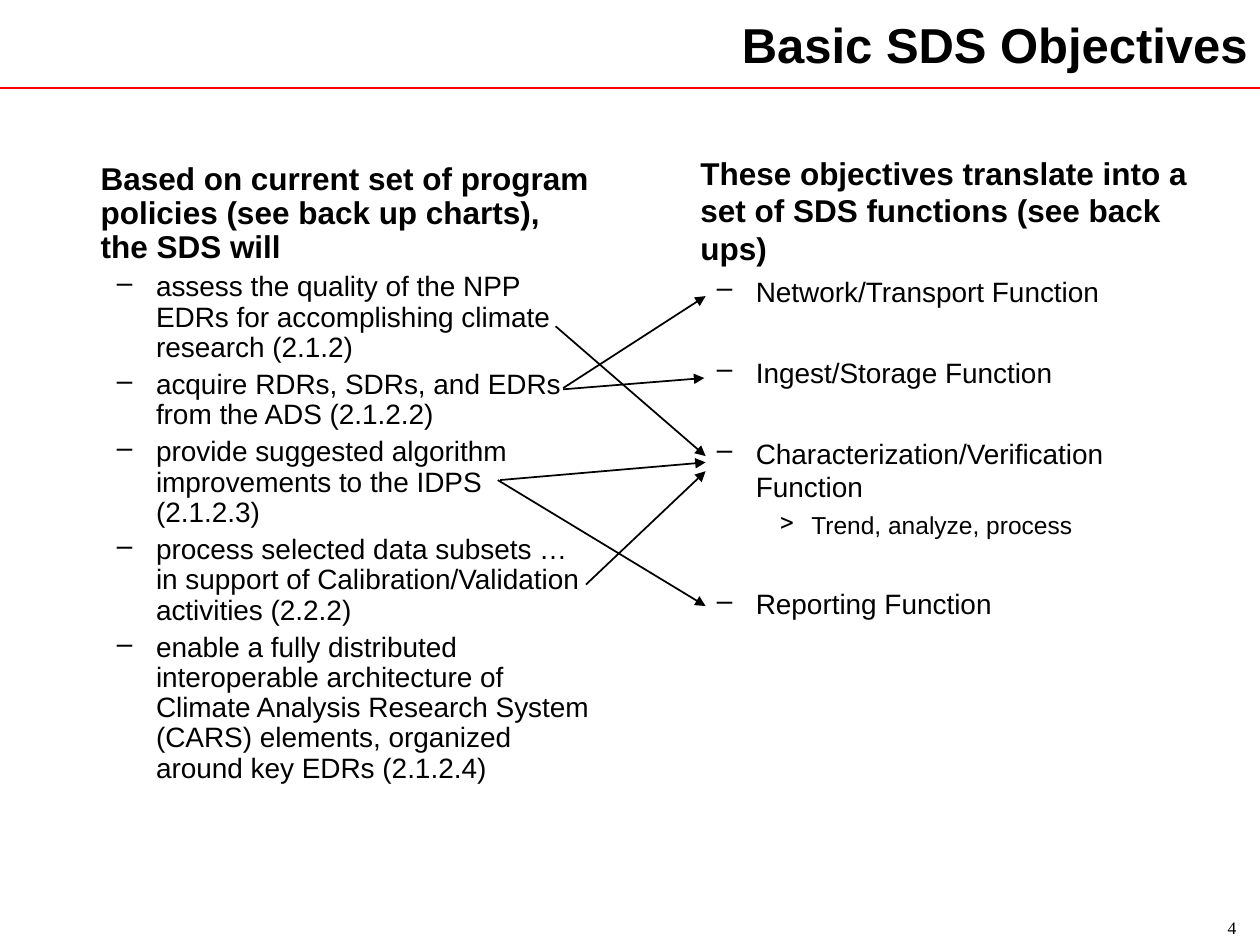
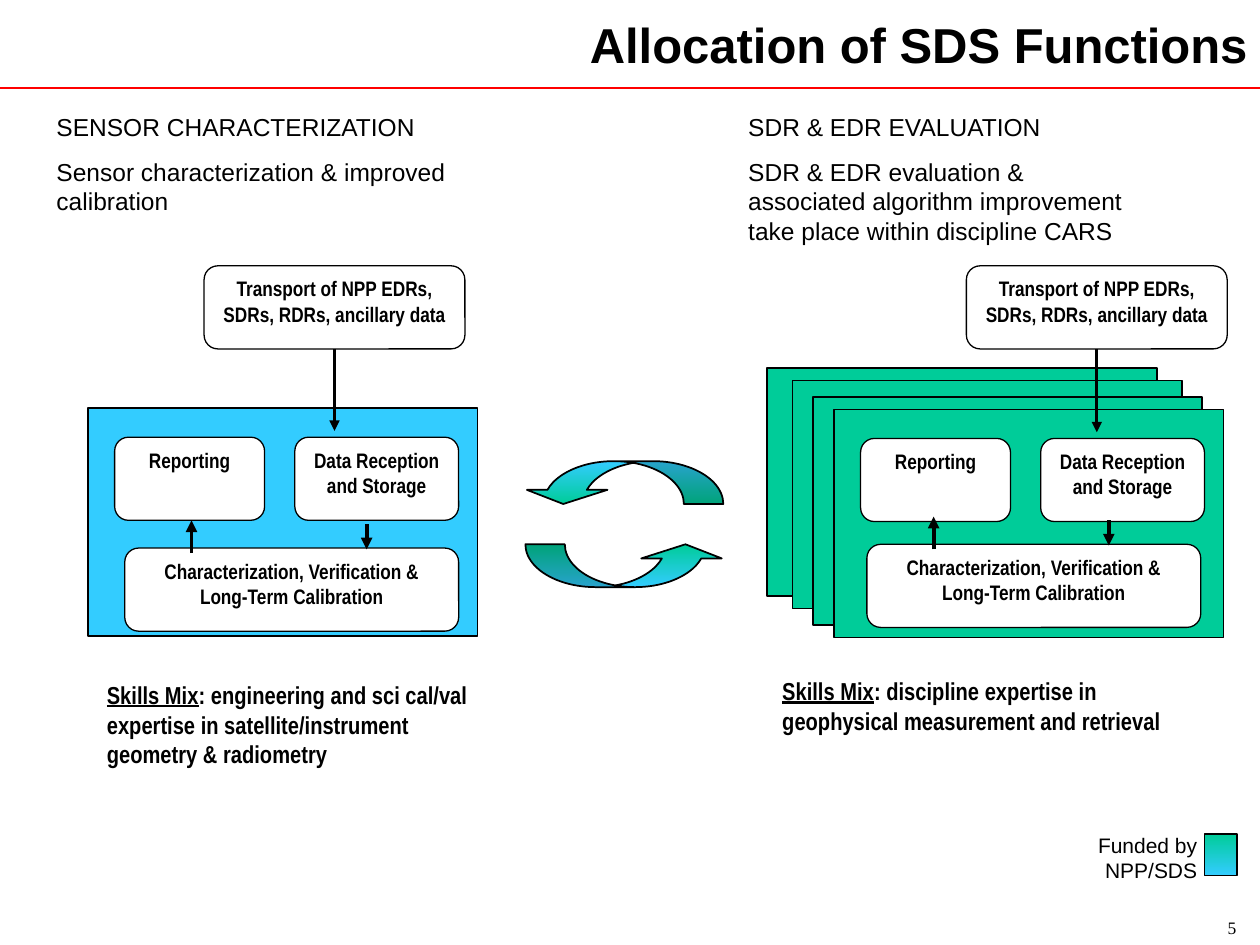
from dataclasses import dataclass

from lxml.etree import SubElement
from pptx import Presentation
from pptx.dml.color import RGBColor
from pptx.enum.shapes import MSO_CONNECTOR, MSO_SHAPE
from pptx.enum.text import MSO_ANCHOR, PP_ALIGN
from pptx.oxml.ns import qn
from pptx.util import Inches, Pt


@dataclass(frozen=True)
class Theme:
    black: str = "000000"
    white: str = "FFFFFF"
    red: str = "FF0000"
    green: str = "00CC99"
    blue: str = "33CCFF"
    sans: str = "Arial"
    narrow: str = "Arial Narrow"
    serif: str = "Times New Roman"
    title: int = 28
    head: int = 18
    item: int = 16
    note: int = 14
    label: int = 12
    page: int = 10


T = Theme()


def color(code):
    return RGBColor.from_string(code)


# Text helpers
def add_run(para, text, size, font=T.sans, bold=False, under=False):
    run = para.add_run()
    run.text = text
    run.font.size = Pt(size)
    run.font.name = font
    run.font.bold = bold
    run.font.underline = under
    run.font.color.rgb = color(T.black)


def add_box(slide, left, top, width, height, anchor=MSO_ANCHOR.TOP):
    frame = slide.shapes.add_textbox(
        Inches(left), Inches(top), Inches(width), Inches(height)).text_frame
    frame.word_wrap = True
    frame.vertical_anchor = anchor
    return frame


def next_para(frame, gap=0, align=PP_ALIGN.LEFT, space=None):
    """Return the empty first paragraph, or a new one set off by gap."""
    para = frame.paragraphs[0]
    if para.runs:
        para = frame.add_paragraph()
        para.space_before = Pt(gap)
    para.alignment = align
    if space:
        para.line_spacing = space
    return para


def indent(para, margin, hang=0, mark=None):
    props = para._p.get_or_add_pPr()
    props.set("marL", str(Inches(margin)))
    props.set("indent", str(-Inches(hang)))
    if mark:
        tint = SubElement(props, qn("a:buClr"))
        SubElement(tint, qn("a:srgbClr")).set("val", T.black)
        SubElement(props, qn("a:buChar")).set("char", mark)


# Shape helpers
def add_line(slide, start, end, weight, tint=T.black, arrow=True):
    line = slide.shapes.add_connector(
        MSO_CONNECTOR.STRAIGHT, *(Inches(n) for n in (*start, *end)))
    line.line.color.rgb = color(tint)
    line.line.width = Pt(weight)
    if arrow:
        SubElement(line.line._get_or_add_ln(), qn("a:tailEnd")).set("type", "triangle")
    SubElement(line._element.spPr, qn("a:effectLst"))
    return line


def add_block(slide, left, top, width, height, fill, kind=MSO_SHAPE.RECTANGLE, weight=1):
    """Shape filled with one colour, or with a pair from top to bottom."""
    shape = slide.shapes.add_shape(
        kind, Inches(left), Inches(top), Inches(width), Inches(height))
    shape.shadow.inherit = False
    if isinstance(fill, str):
        shape.fill.solid()
        shape.fill.fore_color.rgb = color(fill)
    else:
        shape.fill.gradient()
        shape.fill.gradient_angle = 270
        for stop, code in zip(shape.fill.gradient_stops, fill):
            stop.color.rgb = color(code)
    shape.line.color.rgb = color(T.black)
    shape.line.width = Pt(weight)
    return shape


def add_node(slide, left, top, width, text):
    node = add_block(slide, left, top, width, 0.66, T.white,
                     MSO_SHAPE.FLOWCHART_ALTERNATE_PROCESS, 0.75)
    frame = node.text_frame
    frame.word_wrap = True
    frame.vertical_anchor = MSO_ANCHOR.TOP
    add_run(next_para(frame, align=PP_ALIGN.CENTER), text, T.label, T.narrow, bold=True)
    return node


# Frame shared by both slides
def add_page(deck, title, number):
    slide = deck.slides.add_slide(deck.slide_layouts[6])
    add_line(slide, (0, 0.7), (10, 0.7), 1.25, T.red, arrow=False)
    frame = add_box(slide, 2.05, -0.07, 7.95, 0.83, MSO_ANCHOR.MIDDLE)
    add_run(next_para(frame, align=PP_ALIGN.RIGHT), title, T.title, bold=True)
    frame = add_box(slide, 7.83, 7.23, 2.08, 0.43)
    add_run(next_para(frame, align=PP_ALIGN.RIGHT), str(number), T.page, T.serif)
    return slide


# Slide 1: objectives and functions
def add_list(slide, left, top, head, items, space=None):
    """Each item is (text, level, gap before in points)."""
    frame = add_box(slide, left, top, 4.48, 5.75)
    para = next_para(frame, space=space)
    indent(para, 0.37)
    add_run(para, head, T.head, bold=True)
    levels = {1: (0.81, 0.31, "–", T.item), 2: (1.25, 0.25, ">", T.note)}
    for text, level, gap in items:
        margin, hang, mark, size = levels[level]
        para = next_para(frame, gap, space=space)
        indent(para, margin, hang, mark)
        para.font.size = Pt(size)
        para.font.name = T.sans
        add_run(para, text, size)


def add_goals(deck):
    slide = add_page(deck, "Basic SDS Objectives", 4)
    goals = [
        "assess the quality of the NPP EDRs for accomplishing climate research (2.1.2)",
        "acquire RDRs, SDRs, and EDRs from the ADS (2.1.2.2)",
        "provide suggested algorithm improvements to the IDPS (2.1.2.3)",
        "process selected data subsets … in support of Calibration/Validation "
        "activities (2.2.2)",
        "enable a fully distributed interoperable architecture of Climate Analysis "
        "Research System (CARS) elements, organized around key EDRs (2.1.2.4)",
    ]
    add_list(slide, 0.33, 1.25,
             "Based on current set of program policies (see back up charts), "
             "the SDS will", [(goal, 1, 4) for goal in goals], 0.9)
    wide = 27.2
    add_list(slide, 5.09, 1.17,
             "These objectives translate into a set of SDS functions (see back ups)",
             [("Network/Transport Function", 1, 4),
              ("Ingest/Storage Function", 1, wide),
              ("Characterization/Verification Function", 1, wide),
              ("Trend, analyze, process", 2, 3.5),
              ("Reporting Function", 1, wide)])
    # Links from objectives to functions
    for start, end in [((4.41, 2.59), (5.6, 3.62)), ((4.47, 3.08), (5.6, 2.35)),
                       ((4.47, 3.09), (5.59, 3)), ((3.95, 3.81), (5.6, 4.81)),
                       ((3.97, 3.81), (5.6, 3.67)), ((4.65, 4.64), (5.6, 3.74))]:
        add_line(slide, start, end, 1)


# Slide 2: allocation of functions
def add_swoosh(slide, left, top, turn=0):
    arrow = add_block(slide, left, top, 1.59, 0.34, (T.green, T.blue),
                      MSO_SHAPE.CURVED_UP_ARROW)
    for i, part in enumerate((0.92, 1.88, 0.33)):
        arrow.adjustments[i] = part
    arrow.rotation = turn


def add_panel(slide, left, top, fill, feed, low, backs=()):
    """Panel with its feed box (x, y) and lower box (x, y) offsets."""
    for x, y in (*backs, (0, 0)):
        add_block(slide, left + x, top + y, 3.09, 1.81, fill)
    add_node(slide, left + 1.64, top + 0.23, 1.3, "Data Reception and Storage")
    add_node(slide, left + 0.21, top + 0.23, 1.19, "Reporting")
    x, y = left + low[0], top + low[1]
    add_node(slide, x, y, 2.65,
             "Characterization, Verification & Long-Term Calibration")
    add_line(slide, (x + 1.92, y - 0.19), (x + 1.92, y + 0.01), 2.25)
    add_line(slide, (x + 0.53, y + 0.04), (x + 0.53, y - 0.22), 2.25)
    # Feed from above
    x, y = left + feed[0], top + feed[1]
    node = add_node(slide, x, y, 2.07, "Transport of NPP EDRs, SDRs, RDRs, ancillary data")
    mid = x + 2.07 / 2
    add_line(slide, (mid, y + 0.66), (mid, top + 0.18), 1.5).begin_connect(node, 2)


def add_intro(slide, left, width, height, head, text):
    frame = add_box(slide, left, 0.84, width, height)
    for line in (head, text):
        add_run(next_para(frame, 8.8), line, T.note)


def add_skills(slide, left, top, width, height, text):
    para = next_para(add_box(slide, left, top, width, height))
    add_run(para, "Skills Mix", T.note, T.narrow, bold=True, under=True)
    add_run(para, ": " + text, T.note, T.narrow, bold=True)


def add_key(slide, left, top):
    add_block(slide, left + 0.97, top + 0.05, 0.26, 0.33, (T.green, T.blue))
    frame = add_box(slide, left, top, 1.01, 0.49)
    for line in ("Funded by", "NPP/SDS"):
        add_run(next_para(frame, 0.7, PP_ALIGN.RIGHT, 0.95), line, T.label)


def add_split(deck):
    slide = add_page(deck, "Allocation of SDS Functions", 5)
    add_swoosh(slide, 4.17, 4.32)
    add_swoosh(slide, 4.15, 3.66, 180)
    # Evaluation side
    add_skills(slide, 6.11, 5.32, 3.35, 0.57,
               "discipline expertise in geophysical measurement and retrieval")
    add_intro(slide, 5.84, 3.26, 1.16, "SDR & EDR EVALUATION",
              "SDR & EDR evaluation & associated algorithm improvement "
              "take place within discipline CARS")
    add_panel(slide, 6.62, 3.25, T.green, (1.05, -1.14), (0.26, 1.07),
              [(-0.53, -0.33), (-0.33, -0.23), (-0.17, -0.1)])
    add_key(slide, 8.59, 6.57)
    # Sensor side
    add_skills(slide, 0.75, 5.35, 3.17, 0.8, "engineering and sci cal/val expertise in "
               "satellite/instrument geometry & radiometry")
    add_intro(slide, 0.35, 3.9, 0.92, "SENSOR CHARACTERIZATION",
              "Sensor characterization & improved calibration")
    add_panel(slide, 0.7, 3.24, T.blue, (0.92, -1.13), (0.29, 1.11))


def main():
    deck = Presentation()
    deck.slide_width, deck.slide_height = Inches(10), Inches(7.5)
    add_goals(deck)
    add_split(deck)
    deck.save("out.pptx")


if __name__ == "__main__":
    main()
